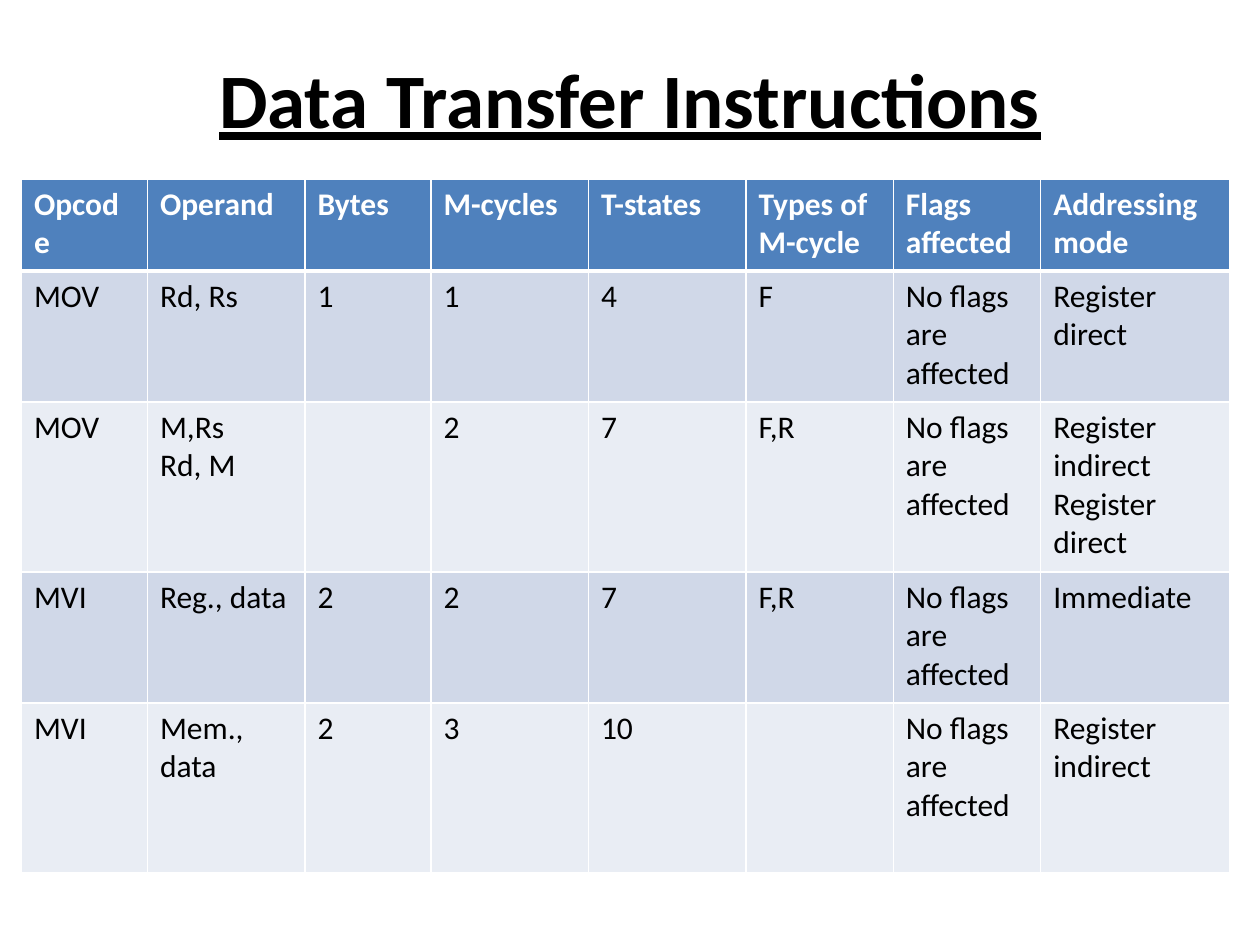
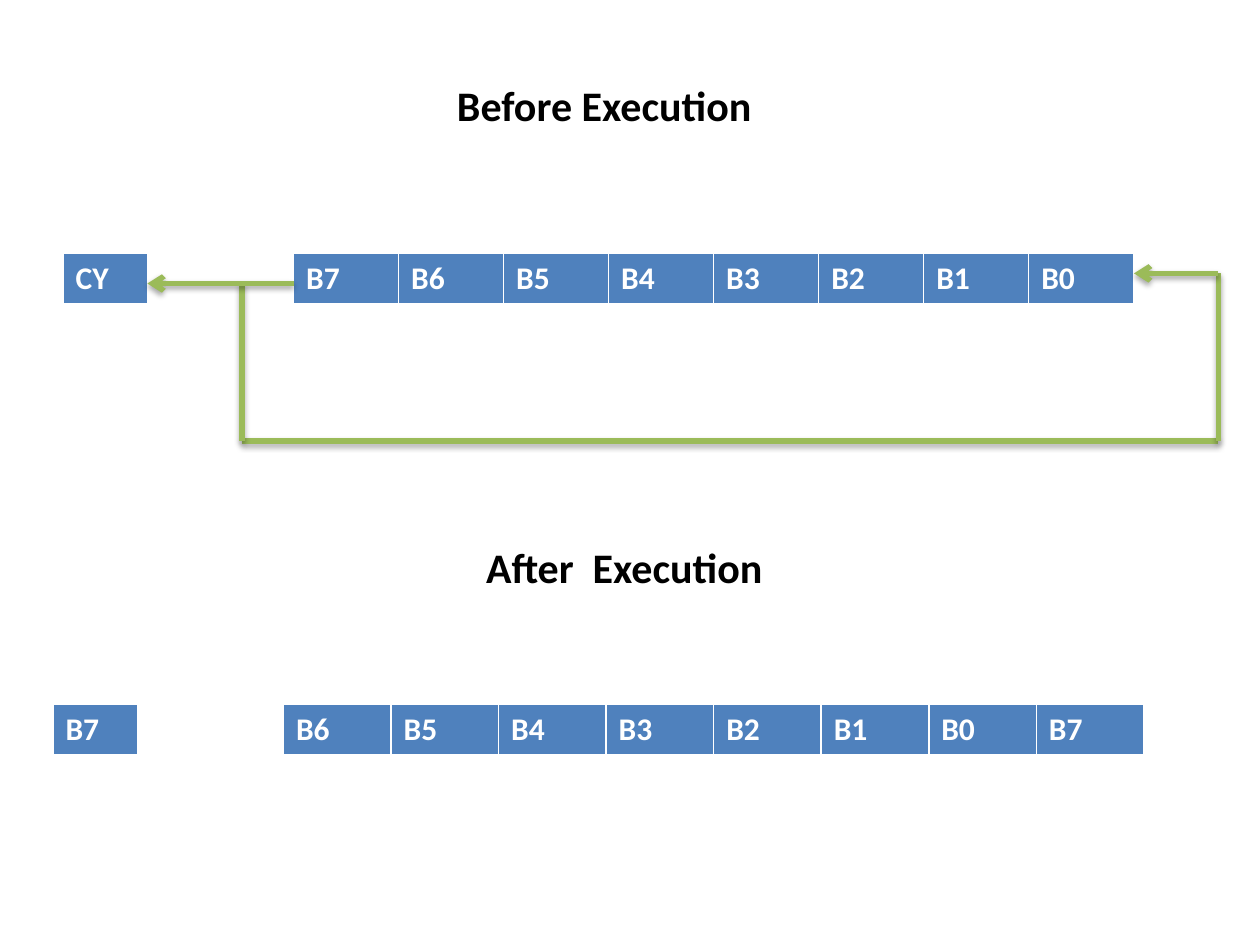
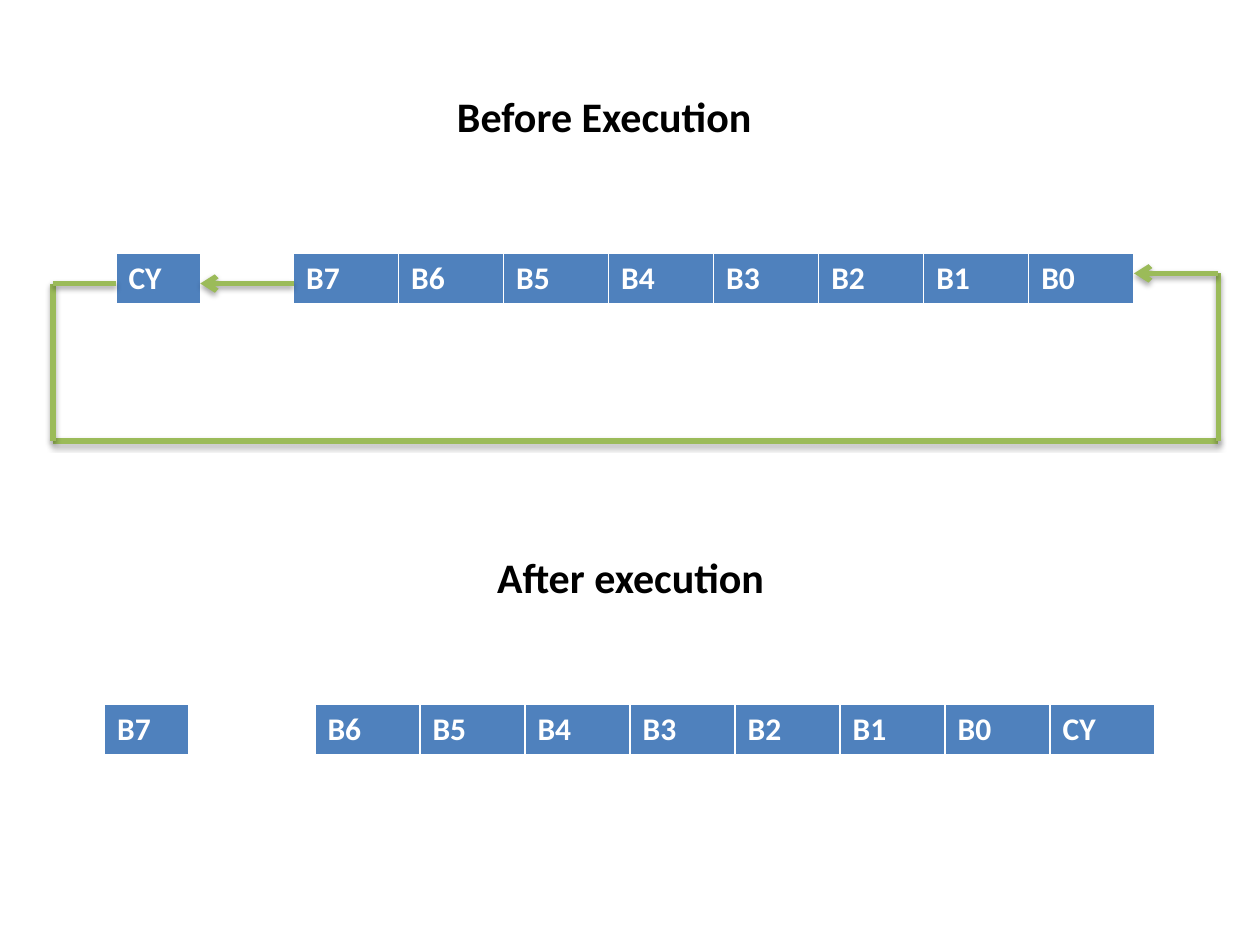
from dataclasses import dataclass

from lxml import etree
from pptx import Presentation
from pptx.dml.color import RGBColor
from pptx.enum import shapes, text
from pptx.oxml import ns
from pptx.util import Inches, Pt


class Theme:
    FONT = "Calibri"
    BLACK, WHITE = "000000", "FFFFFF"
    HEADER, BAND, LIGHT_BAND = "4F81BD", "D0D8E8", "E9EDF4"
    ARROW = "9BBB59"
    TITLE, HEADING, BODY = 44, 24, 18
    THIN, THICK = 1, 3


@dataclass
class Box:
    left: float
    top: float
    width: float
    height: float

    @property
    def right(self):
        return self.left + self.width

    @property
    def bottom(self):
        return self.top + self.height

    def lengths(self):
        return [Inches(n) for n in (self.left, self.top, self.width, self.height)]


@dataclass
class State:
    """The carry cell and the register at one moment, under a heading."""
    heading: str
    heading_box: Box
    carry: str
    carry_left: float
    bits: list
    register: Box

    @property
    def carry_box(self):
        return Box(self.carry_left, self.register.top, 0.67, self.register.height)


INSTRUCTIONS = [
    ["Opcode", "Operand", "Bytes", "M-cycles", "T-states", "Types of M-cycle",
     "Flags affected", "Addressing mode"],
    ["MOV", "Rd, Rs", "1", "1", "4", "F", "No flags are affected", "Register direct"],
    ["MOV", "M,Rs\nRd, M", "", "2", "7", "F,R", "No flags are affected",
     "Register indirect\nRegister direct"],
    ["MVI", "Reg., data", "2", "2", "7", "F,R", "No flags are affected", "Immediate"],
    ["MVI", "Mem., data", "2", "3", "10", "", "No flags are affected",
     "Register indirect"],
]
COLUMN_WIDTHS = [1, 1.25, 1, 1.25, 1.25, 1.17, 1.17, 1.5]
ROW_HEIGHTS = [0.73, 1.04, 1.35, 1.04, 1.35]
BITS = [f"B{number}" for number in range(7, -1, -1)]


def write_text(frame, content, size=Theme.BODY, color=Theme.BLACK, bold=False,
               underline=False, align=text.PP_ALIGN.LEFT):
    """Write one paragraph for each line of content."""
    for index, line in enumerate(content.split("\n")):
        paragraph = frame.add_paragraph() if index else frame.paragraphs[0]
        paragraph.alignment = align
        if not line:
            continue
        run = paragraph.add_run()
        run.text = line
        run.font.name = Theme.FONT
        run.font.size = Pt(size)
        run.font.bold = bold
        run.font.underline = underline
        run.font.color.rgb = RGBColor.from_string(color)


def add_centred_text(slide, box, content, autofit=text.MSO_AUTO_SIZE.NONE,
                     anchor=text.MSO_ANCHOR.TOP, **style):
    frame = slide.shapes.add_textbox(*box.lengths()).text_frame
    frame.word_wrap = True
    frame.auto_size = autofit
    frame.vertical_anchor = anchor
    write_text(frame, content, bold=True, align=text.PP_ALIGN.CENTER, **style)


def add_xml(parent, tag, **attributes):
    return etree.SubElement(parent, ns.qn(tag), attributes)


def border_cell(cell, bottom):
    properties = cell._tc.get_or_add_tcPr()
    for index, side in enumerate("LRTB"):
        width = bottom if side == "B" else Theme.THIN
        line = etree.Element(ns.qn(f"a:ln{side}"), {"w": str(Pt(width))})
        add_xml(add_xml(line, "a:solidFill"), "a:srgbClr", val=Theme.WHITE)
        properties.insert(index, line)


def add_grid(slide, box, rows, widths, heights):
    """Add a table with a header row over banded body rows."""
    table = slide.shapes.add_table(len(rows), len(widths), *box.lengths()).table
    table.first_row = table.horz_banding = False
    for column, width in zip(table.columns, widths):
        column.width = Inches(width)
    for row, height in zip(table.rows, heights):
        row.height = Inches(height)
    for row_index, row in enumerate(rows):
        header = row_index == 0
        band = Theme.BAND if row_index % 2 else Theme.LIGHT_BAND
        for column_index, content in enumerate(row):
            cell = table.cell(row_index, column_index)
            cell.fill.solid()
            cell.fill.fore_color.rgb = RGBColor.from_string(
                Theme.HEADER if header else band)
            border_cell(cell, Theme.THICK if header else Theme.THIN)
            write_text(cell.text_frame, content, bold=header,
                       color=Theme.WHITE if header else Theme.BLACK)


def add_bit_row(slide, box, bits):
    add_grid(slide, box, [bits], [box.width / len(bits)] * len(bits), [box.height])


def add_line(slide, start, end, arrow=False):
    connector = slide.shapes.add_connector(
        shapes.MSO_CONNECTOR.STRAIGHT, *map(Inches, (*start, *end)))
    connector.line.color.rgb = RGBColor.from_string(Theme.ARROW)
    connector.line.width = Pt(Theme.THICK)
    if arrow:
        add_xml(connector.line._get_or_add_ln(), "a:tailEnd", type="arrow")
    effects = add_xml(connector._element.spPr, "a:effectLst")
    shadow = add_xml(effects, "a:outerShdw", blurRad="40000", dist="23000",
                     dir="5400000", rotWithShape="0")
    color = add_xml(shadow, "a:srgbClr", val=Theme.BLACK)
    add_xml(color, "a:alpha", val="35000")


def add_state(slide, state):
    add_bit_row(slide, state.register, state.bits)
    add_bit_row(slide, state.carry_box, [state.carry])
    add_centred_text(slide, state.heading_box, state.heading, size=Theme.HEADING,
                     autofit=text.MSO_AUTO_SIZE.SHAPE_TO_FIT_TEXT)


def add_rotation_path(slide, box, state):
    """Run lines round the box, from the shifted-out bit back to the last bit."""
    exit_level = box.top + 0.08
    add_line(slide, (box.left, box.bottom), (box.right, box.bottom))
    add_line(slide, (box.right, box.top), (box.right, box.bottom))
    add_line(slide, (box.left, exit_level), (box.left, box.bottom))
    if box.left < state.carry_left:
        add_line(slide, (box.left, exit_level), (state.carry_left, exit_level))
    add_line(slide, (state.register.left, exit_level),
             (state.carry_box.right, exit_level), arrow=True)
    add_line(slide, (box.right, box.top), (state.register.right, box.top), arrow=True)


def add_blank_slide(presentation):
    return presentation.slides.add_slide(presentation.slide_layouts[6])


def build_instruction_slide(presentation):
    slide = add_blank_slide(presentation)
    add_grid(slide, Box(0.17, 1.42, 9.58, 5.5), INSTRUCTIONS, COLUMN_WIDTHS,
             ROW_HEIGHTS)
    add_centred_text(slide, Box(0.5, 0, 9, 1.55), "Data Transfer Instructions",
                     size=Theme.TITLE, underline=True, anchor=text.MSO_ANCHOR.MIDDLE)


def build_rotation_slide(presentation, before, after, path_left):
    slide = add_blank_slide(presentation)
    add_state(slide, before)
    add_state(slide, after)
    add_rotation_path(slide, Box(path_left, 2.17, 9.67 - path_left, 1.33), before)


def main():
    presentation = Presentation()
    presentation.slide_width = Inches(10)
    presentation.slide_height = Inches(7.5)

    register = Box(2.33, 2.01, 6.67, 0.41)
    build_instruction_slide(presentation)
    build_rotation_slide(
        presentation,
        State("Before Execution", Box(2.92, 0.58, 3.75, 0.5), "CY", 0.5, BITS, register),
        State("After  Execution", Box(3.08, 4.25, 3.75, 0.5), "B7", 0.42,
              BITS[1:] + ["B7"], Box(2.25, 5.59, 6.83, 0.41)),
        path_left=1.92)
    build_rotation_slide(
        presentation,
        State("Before Execution", Box(2.67, 0.67, 4.25, 0.5), "CY", 0.92, BITS, register),
        State("After execution", Box(2.42, 4.33, 5.17, 0.5), "B7", 0.83,
              BITS[1:] + ["CY"], Box(2.5, 5.59, 6.67, 0.41)),
        path_left=0.42)
    presentation.save("out.pptx")


if __name__ == "__main__":
    main()
